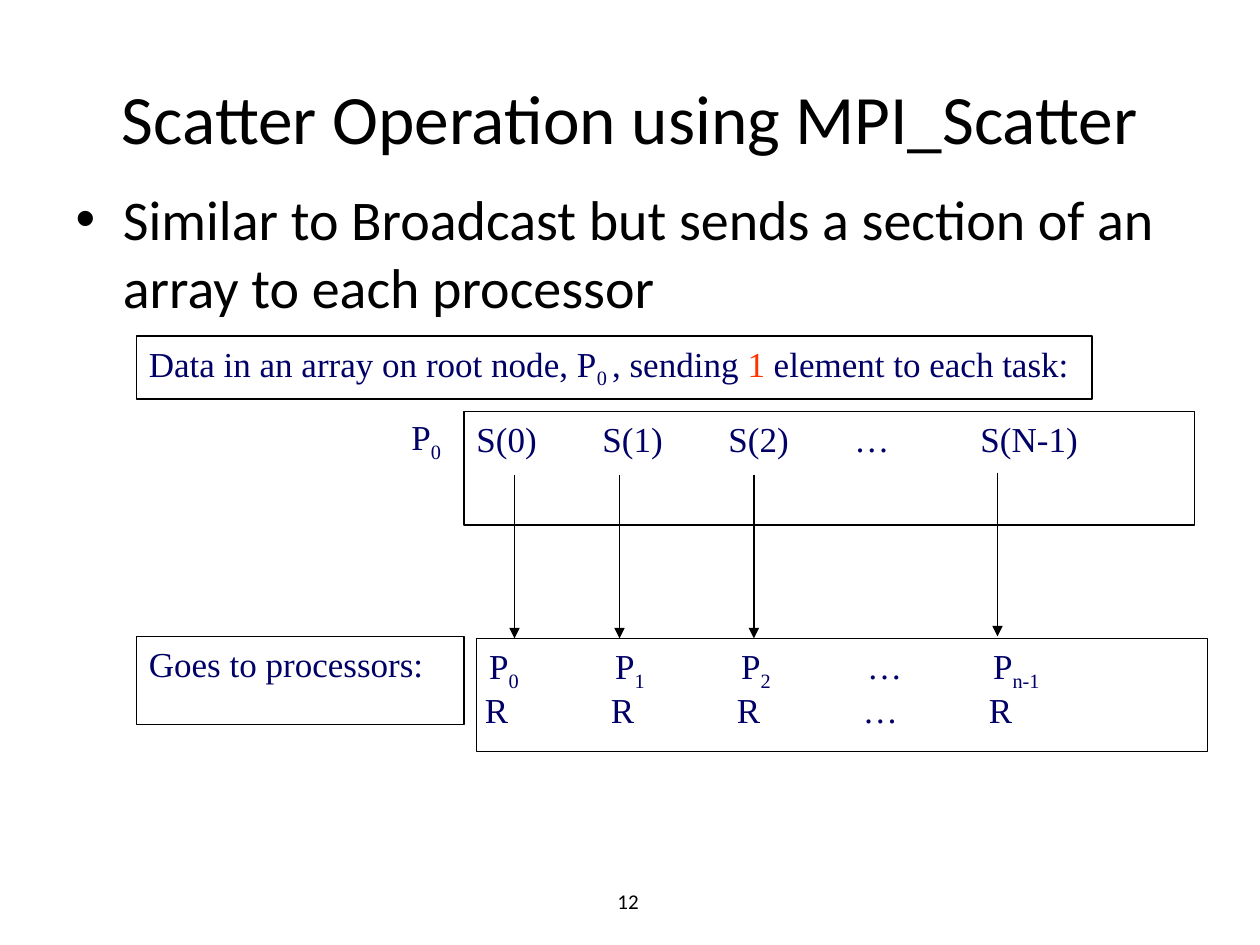
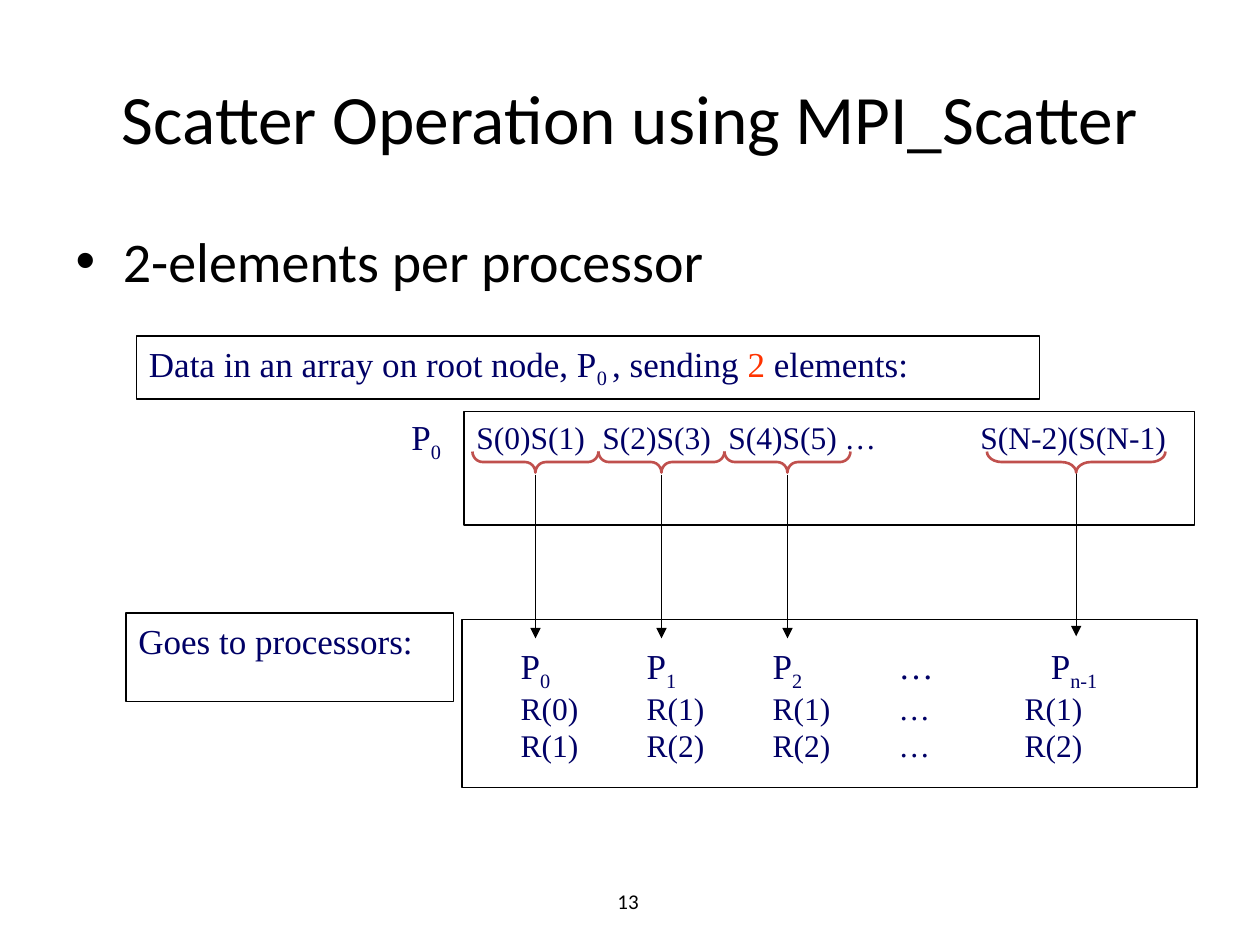
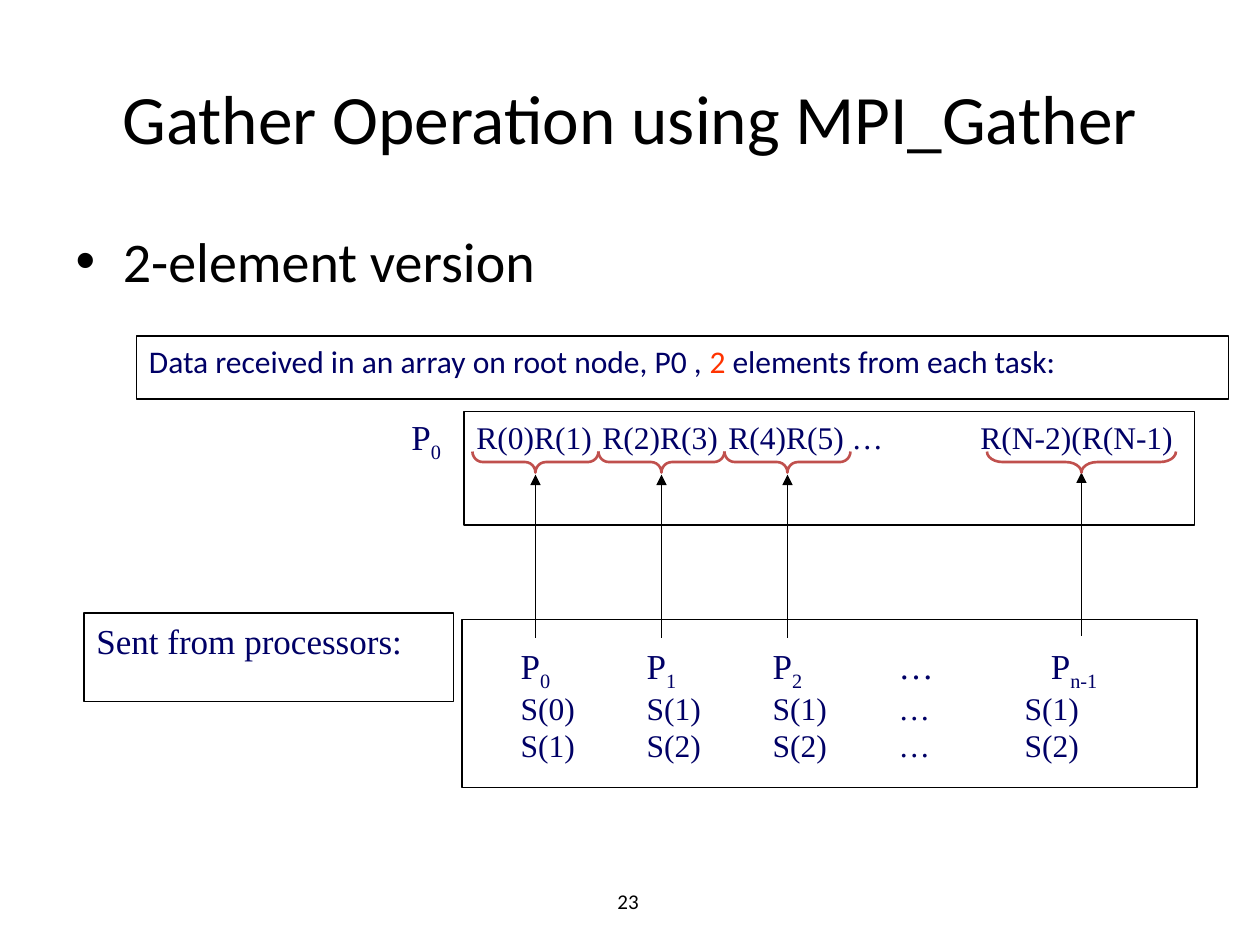
from dataclasses import dataclass
from typing import NamedTuple

from lxml import etree
from pptx import Presentation
from pptx import util as u
from pptx.dml.color import RGBColor
from pptx.enum import shapes, text
from pptx.oxml.ns import qn


@dataclass(frozen=True)
class Theme:
    ink: RGBColor = RGBColor(0x00, 0x00, 0x00)
    paper: RGBColor = RGBColor(0xFF, 0xFF, 0xFF)
    label: RGBColor = RGBColor(0x00, 0x00, 0x66)
    accent: RGBColor = RGBColor(0xFF, 0x33, 0x00)
    brace: RGBColor = RGBColor(0xC0, 0x50, 0x4D)
    sans: str = "Calibri"
    serif: str = "Times New Roman"
    title_size: float = 39.6
    list_size: float = 32
    label_size: float = 20
    small_size: float = 18
    number_size: float = 12
    thin: float = 0.75
    thick: float = 1.5


THEME = Theme()
COLUMNS, ROWS = 120, 90
WIDTH, HEIGHT = u.Inches(10), u.Inches(7.5)
CELL = 12
EVEN_TABS = tuple(CELL * step for step in range(1, 5))


class Area(NamedTuple):
    column: float
    row: float
    columns: float
    rows: float


class Span(NamedTuple):
    text: str
    lowered: bool = False
    accented: bool = False


Line = list[Span]


@dataclass(frozen=True)
class Label:
    area: Area
    lines: list[Line]
    size: float = THEME.label_size
    font: str = THEME.serif
    framed: bool = True
    tabs: tuple[float, ...] = EVEN_TABS


@dataclass(frozen=True)
class Link:
    column: float
    brace_length: float = 0
    lift: float = 0


@dataclass(frozen=True)
class Diagram:
    title: str
    point: str
    point_row: float
    number: str
    labels: list[Label]
    links: list[Link]
    upward: bool = False
    frame: Area | None = None


def across(columns: float) -> int:
    return round(WIDTH * columns / COLUMNS)


def down(rows: float) -> int:
    return round(HEIGHT * rows / ROWS)


def place(area: Area) -> tuple[int, int, int, int]:
    return across(area.column), down(area.row), across(area.columns), down(area.rows)


def set_font(font, name: str, size: float, color: RGBColor) -> None:
    font.name, font.size = name, u.Pt(size)
    font.color.rgb = color


def fill_placeholder(box, area: Area, words: str, size: float) -> None:
    box.left, box.top, box.width, box.height = place(area)
    box.text_frame.text = words
    box.text_frame.auto_size = text.MSO_AUTO_SIZE.NONE
    set_font(box.text_frame.paragraphs[0].font, THEME.sans, size, THEME.ink)


def outline(box, color: RGBColor, width: float) -> None:
    box.shadow.inherit = False
    box.line.color.rgb = color
    box.line.width = u.Pt(width)


def add_frame(page, area: Area):
    box = page.shapes.add_shape(shapes.MSO_SHAPE.RECTANGLE, *place(area))
    outline(box, THEME.ink, THEME.thin)
    box.fill.background()
    return box


def set_tabs(para, columns: tuple[float, ...]) -> None:
    stops = etree.Element(qn("a:tabLst"))
    for column in columns:
        etree.SubElement(stops, qn("a:tab"), pos=str(across(column)), algn="l")
    para.font._element.addprevious(stops)


def add_label(page, label: Label) -> None:
    if label.framed:
        box = add_frame(page, label.area)
        box.fill.solid()
        box.fill.fore_color.rgb = THEME.paper
    else:
        box = page.shapes.add_textbox(*place(label.area))
    frame = box.text_frame
    frame.word_wrap = True
    frame.vertical_anchor = text.MSO_ANCHOR.TOP
    for index, line in enumerate(label.lines):
        para = frame.add_paragraph() if index else frame.paragraphs[0]
        para.alignment = text.PP_ALIGN.LEFT
        set_font(para.font, label.font, label.size, THEME.label)
        set_tabs(para, label.tabs)
        for span in line:
            run = para.add_run()
            run.text = span.text
            run.font.color.rgb = THEME.accent if span.accented else THEME.label
            if span.lowered:
                run.font._element.set("baseline", "-25000")


def add_arrow(page, link: Link, upward: bool) -> None:
    column = across(link.column)
    arrow = page.shapes.add_connector(
        shapes.MSO_CONNECTOR.STRAIGHT,
        column, down(45.2 - link.lift), column, down(60.8 - link.lift),
    )
    arrow.line.color.rgb = THEME.ink
    arrow.line.width = u.Pt(THEME.thin)
    properties = arrow.element.spPr
    end = "a:headEnd" if upward else "a:tailEnd"
    etree.SubElement(properties.find(qn("a:ln")), qn(end), type="triangle")
    etree.SubElement(properties, qn("a:effectLst"))


def add_brace(page, link: Link) -> None:
    thickness, length = 2, link.brace_length
    area = Area(link.column - thickness / 2, 44 - length / 2, thickness, length)
    box = page.shapes.add_shape(shapes.MSO_SHAPE.LEFT_BRACE, *place(area))
    box.rotation = 270
    box.adjustments[0] = length / 24
    box.fill.background()
    outline(box, THEME.brace, THEME.thick)


def add_number(page, number: str) -> None:
    box = page.shapes.add_textbox(*place(Area(34, 83.4, 28, 4.8)))
    frame = box.text_frame
    frame.word_wrap = True
    frame.vertical_anchor = text.MSO_ANCHOR.MIDDLE
    para = frame.paragraphs[0]
    para.text = number
    para.alignment = text.PP_ALIGN.RIGHT
    set_font(para.font, THEME.sans, THEME.number_size, THEME.ink)


def add_page(deck, diagram: Diagram) -> None:
    page = deck.slides.add_slide(deck.slide_layouts[1])
    title, body = page.placeholders
    fill_placeholder(title, Area(6, 3.6, 108, 15), diagram.title, THEME.title_size)
    fill_placeholder(body, Area(6, diagram.point_row, 108, 59.4), diagram.point, THEME.list_size)
    *back, front = diagram.labels
    for label in back:
        add_label(page, label)
    for link in diagram.links:
        add_arrow(page, link, diagram.upward)
        if link.brace_length:
            add_brace(page, link)
    add_label(page, front)
    if diagram.frame:
        add_frame(page, diagram.frame)
    add_label(page, ROOT)
    add_number(page, diagram.number)


def row(*cells: str) -> Line:
    return [Span("\t".join(cells))]


def announce(before: str, count: str, after: str) -> Line:
    return [Span(before), Span(count, accented=True), Span(after)]


def announce_sending(count: str, after: str) -> Line:
    opening = [Span("Data in an array on root node, P"), Span("0 ", lowered=True)]
    return opening + announce(", sending ", count, after)


def array(line: Line, size: float) -> Label:
    return Label(Area(44.2, 39.2, 69.6, 10.8), [line], size)


def heading(columns: float, line: Line, **style) -> Label:
    return Label(Area(13, 32, columns, 6), [line], **style)


def pair_labels(letter: str) -> list[Label]:
    rows = [
        row(f"{letter}(0)", f"{letter}(1)", f"{letter}(1) ", "…", f"{letter}(1)"),
        row(f"{letter}(1)", f"{letter}(2)", f"{letter}(2)", "…", f"{letter}(2)"),
    ]
    shifted_tabs = (*EVEN_TABS[:-1], 50.5)
    return [
        Label(Area(48.4, 60.8, 69.6, 13.2), [PROCESSORS], framed=False, tabs=shifted_tabs),
        Label(Area(48.4, 65, 69.6, 6), rows, THEME.small_size, framed=False),
    ]


def pair_array(letter: str) -> Label:
    pairs = [f"{letter}({first}){letter}({first + 1})" for first in (0, 2, 4)]
    pairs[-1] += " …"
    return array(row(*pairs, f"{letter}(N-2)({letter}(N-1)"), THEME.small_size)


def pair_links(last_column: float, last_length: float) -> list[Link]:
    regular = [Link(51 + CELL * index, CELL) for index in range(3)]
    return regular + [Link(last_column, last_length, 0.2)]


PROCESSORS = [
    Span("P"), Span("0\t", lowered=True),
    Span("P"), Span("1\t", lowered=True),
    Span("P"), Span("2", lowered=True),
    Span("\t…\tP"), Span("n-1", lowered=True),
]
ROOT = Label(Area(38, 39, 6, 6), [[Span("P"), Span("0", lowered=True)]], framed=False)
PAIR_FRAME = Area(44, 59, 70, 16)
SCATTER = "Scatter Operation using MPI_Scatter"

DIAGRAMS = [
    Diagram(
        SCATTER,
        "Similar to Broadcast but sends a section of an array to each processor",
        17,
        "12",
        [
            array(row("S(0)", "S(1)", "S(2) ", "…", "S(N-1)"), THEME.label_size),
            Label(Area(13, 60.6, 31.2, 8.4), [row("Goes to processors:")]),
            heading(91, announce_sending("1", " element to each task:")),
            Label(Area(45.4, 60.8, 69.6, 10.8), [PROCESSORS]),
            Label(Area(45, 65, 69.6, 6), [row("R", "R", "R ", "…", "R")], framed=False),
        ],
        [Link(49), Link(59), Link(71.8), Link(95, lift=0.2)],
    ),
    Diagram(
        SCATTER,
        "2-elements per processor",
        21,
        "13",
        [
            pair_array("S"),
            Label(Area(12, 58.4, 31.2, 8.4), [row("Goes to processors:")]),
            heading(86, announce_sending("2", " elements:")),
            *pair_labels("R"),
        ],
        pair_links(102.5, 17),
        frame=PAIR_FRAME,
    ),
    Diagram(
        "Gather Operation using MPI_Gather",
        "2-element version",
        21,
        "23",
        [
            pair_array("R"),
            Label(Area(8, 58.4, 35.2, 8.4), [row("Sent from processors:")]),
            heading(
                104,
                announce("Data received in an array on root node, P0 , ", "2", " elements from each task:"),
                size=THEME.small_size,
                font=THEME.sans,
            ),
            *pair_labels("S"),
        ],
        pair_links(103, 18),
        upward=True,
        frame=PAIR_FRAME,
    ),
]


def main() -> None:
    deck = Presentation()
    deck.slide_width, deck.slide_height = WIDTH, HEIGHT
    for diagram in DIAGRAMS:
        add_page(deck, diagram)
    deck.save("out.pptx")


main()
